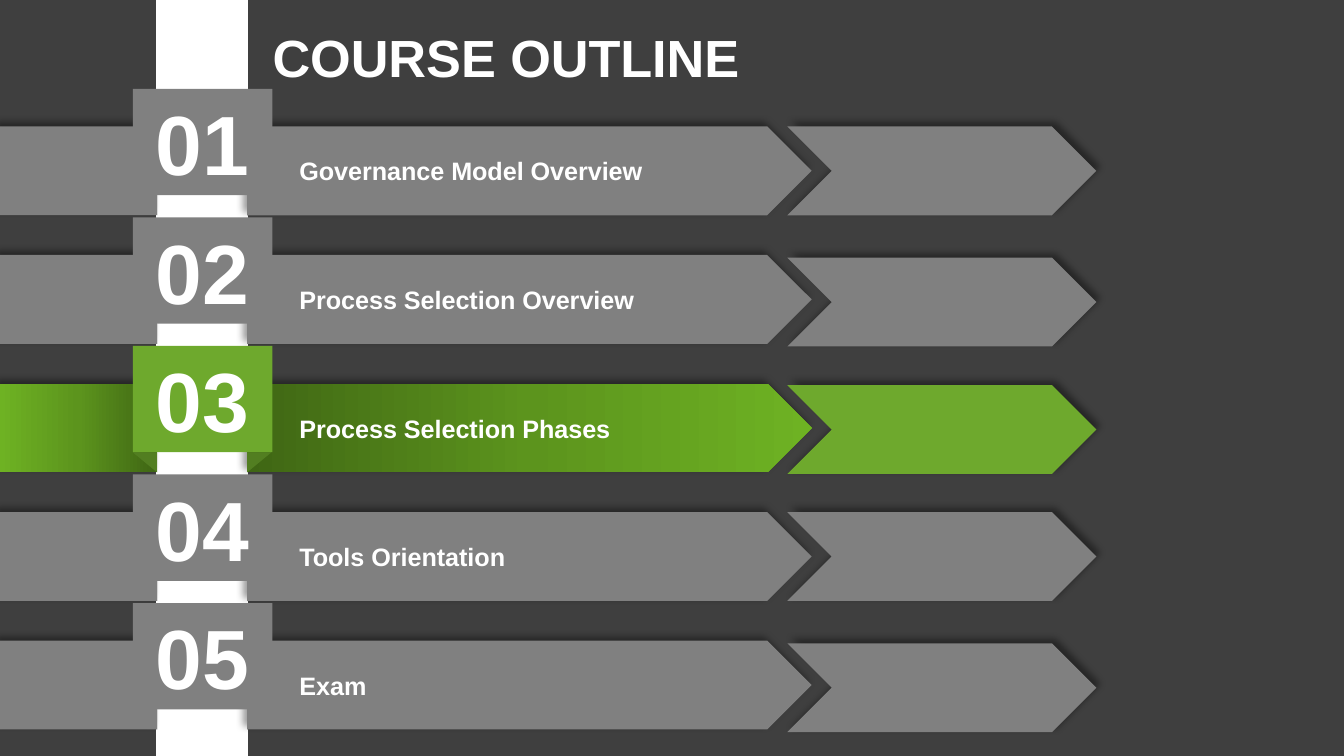
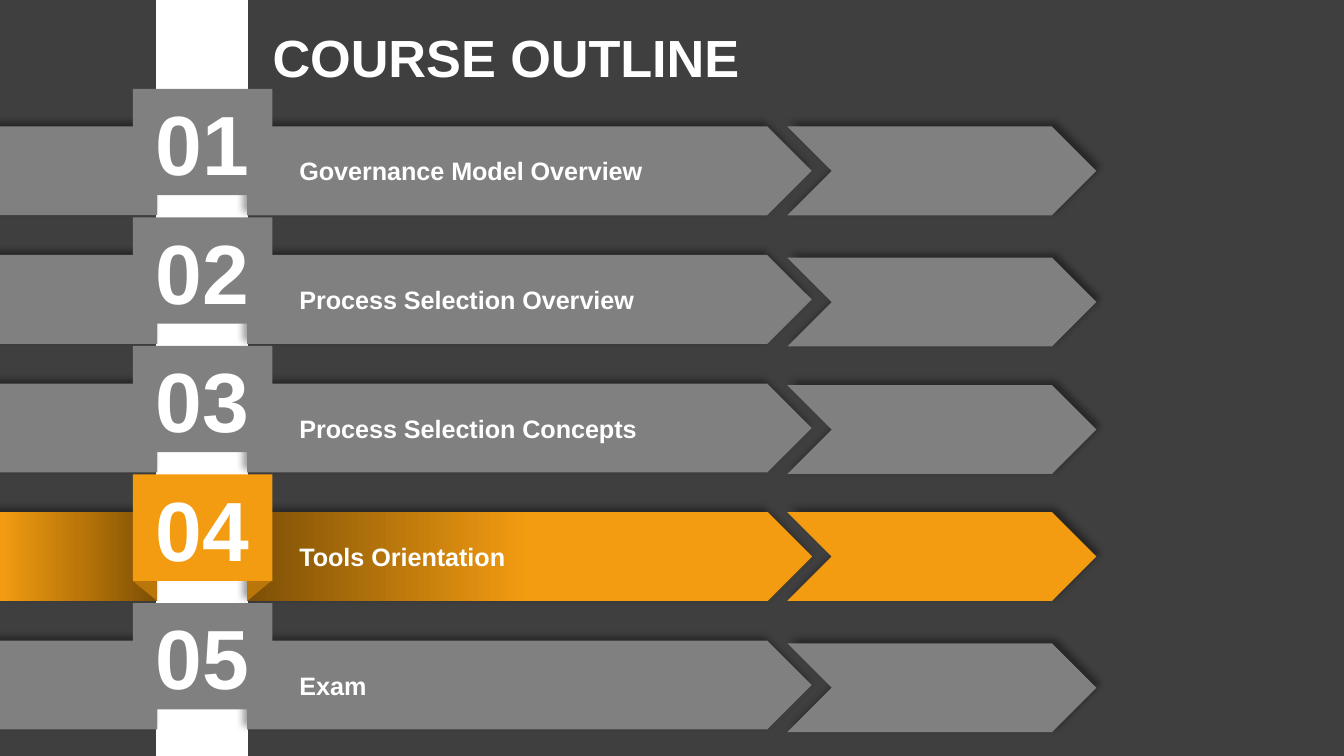
from copy import deepcopy

from lxml.etree import SubElement
from pptx import Presentation
from pptx.dml.color import RGBColor
from pptx.enum.shapes import MSO_SHAPE
from pptx.enum.text import MSO_ANCHOR, MSO_AUTO_SIZE, PP_ALIGN
from pptx.oxml.ns import qn
from pptx.util import Cm, Pt

DARK = "3F3F3F"
WHITE = "FFFFFF"
GRAY = "808080"

ROW_TOP = 2.39
ROW_PITCH = 2.43
BAND_HEIGHT = 1.68
RIBBON_LEFT = 2.97
RIBBON_WIDTH = 1.7
RIBBON_RIGHT = RIBBON_LEFT + RIBBON_WIDTH
FOLD_WIDTH = 0.46
FOLD_HEIGHT = 0.38
BOX_HEIGHT = 2.01
BOX_RISE = 0.71
CHEVRON_SHIFTS = [0, 0.05, 0.03, 0, 0.05]

INACTIVE = {"box": GRAY, "fold": GRAY, "label": GRAY, "tail": GRAY}
GREEN_FADE = ["3F6614", "5C941D", "6EB223"]
GREEN = {"box": "6EA92D", "fold": "527E21", "label": GREEN_FADE, "tail": GREEN_FADE}
ORANGE = {
    "box": "F39C11",
    "fold": "BA7609",
    "label": ["7C4F06", "F39C11", "F39C11"],
    "tail": ["7C4F06", "BA7609", "F39C11"],
}

OUTLINES = [
    (["Governance Model Overview", "Process Selection Overview",
      "Process Selection Phases", "Tools Orientation", "Exam"], 2, GREEN),
    (["Governance Model Overview", "Process Selection Overview",
      "Process Selection Concepts", "Tools Orientation", "Exam"], 3, ORANGE),
]


def rgb(value):
    return RGBColor.from_string(value)


def apply(target, values):
    for name, value in values.items():
        setattr(target, name, value)


class OutlineDeck:
    title_frame = {
        "word_wrap": True, "auto_size": MSO_AUTO_SIZE.NONE,
        "vertical_anchor": MSO_ANCHOR.TOP,
        "margin_left": Cm(0.25), "margin_right": Cm(0.25),
        "margin_top": Cm(0.25), "margin_bottom": Cm(0.25),
    }
    shape_frame = {
        "word_wrap": True, "vertical_anchor": MSO_ANCHOR.MIDDLE,
        "margin_left": Cm(0.18), "margin_right": Cm(0.18),
        "margin_top": Cm(0.1), "margin_bottom": Cm(0.1),
    }

    def __init__(self):
        self.presentation = Presentation()
        apply(self.presentation, {"slide_width": Cm(25.4), "slide_height": Cm(14.29)})
        background = self.presentation.slide_master.background.fill
        background.solid()
        background.fore_color.rgb = rgb(DARK)
        self.slide = None

    def new_slide(self, title):
        layout = self.presentation.slide_layouts[5]
        self.slide = self.presentation.slides.add_slide(layout)
        placeholder = self.slide.shapes.title
        apply(placeholder, {"left": Cm(4.9), "top": Cm(0.23),
                            "width": Cm(23.67), "height": Cm(1.6)})
        self.set_text(placeholder, title, 28, PP_ALIGN.LEFT, self.title_frame)

    def set_text(self, shape, text, size, alignment, frame, indent=0):
        apply(shape.text_frame, frame)
        paragraph = shape.text_frame.paragraphs[0]
        paragraph.alignment = alignment
        if indent:
            properties = paragraph._p.get_or_add_pPr()
            properties.set("marL", str(Cm(indent)))
            properties.set("indent", "0")
        run = paragraph.add_run()
        run.text = text
        apply(run.font, {"name": "Arial", "size": Pt(size), "bold": True})
        run.font.color.rgb = rgb(WHITE)

    def paint(self, shape, fill, angle):
        if isinstance(fill, str):
            shape.fill.solid()
            shape.fill.fore_color.rgb = rgb(fill)
            return
        shape.fill.gradient()
        shape.fill.gradient_angle = angle
        stops = shape._element.spPr.find(qn("a:gradFill")).find(qn("a:gsLst"))
        stops.append(deepcopy(stops[0]))
        for stop, position, color in zip(shape.fill.gradient_stops, (0, 0.5, 1), fill):
            stop.position = position
            stop.color.rgb = rgb(color)

    def cast_shadow(self, shape, direction):
        effects = shape._element.spPr.find(qn("a:effectLst"))
        shadow = SubElement(effects, qn("a:outerShdw"), blurRad=str(Pt(4)),
                            dist=str(Pt(3)), dir=str(direction * 60000),
                            algn="ctr", rotWithShape="0")
        color = SubElement(shadow, qn("a:srgbClr"), val="000000")
        SubElement(color, qn("a:alpha"), val="40000")

    def add_shape(self, kind, left, top, width, height, fill,
                  group=None, angle=0, shadow=None):
        container = group or self.slide
        shape = container.shapes.add_shape(kind, Cm(left), Cm(top), Cm(width), Cm(height))
        self.paint(shape, fill, angle)
        shape.line.fill.background()
        shape.shadow.inherit = False
        if shadow is not None:
            self.cast_shadow(shape, shadow)
        return shape

    def add_ribbon(self):
        ribbon = self.add_shape(MSO_SHAPE.RECTANGLE, RIBBON_LEFT, 0,
                                RIBBON_WIDTH, 14.29, WHITE)
        ribbon.line.color.rgb = rgb(WHITE)
        ribbon.line.width = Pt(1)

    def add_fold(self, group, left, top, color, flipped):
        fold = self.add_shape(MSO_SHAPE.RIGHT_TRIANGLE, left, top,
                              FOLD_WIDTH, FOLD_HEIGHT, color, group)
        fold.rotation = 180
        if flipped:
            fold._element.spPr.find(qn("a:xfrm")).set("flipH", "1")

    def add_row(self, index, text, colors):
        top = ROW_TOP + index * ROW_PITCH
        fold_top = top + BAND_HEIGHT - FOLD_HEIGHT
        box_left = RIBBON_LEFT - FOLD_WIDTH
        group = self.slide.shapes.add_group_shape()
        label = self.add_shape(MSO_SHAPE.PENTAGON, RIBBON_RIGHT, top, 10.67, BAND_HEIGHT,
                               colors["label"], group, shadow=225)
        self.set_text(label, text, 13.5, PP_ALIGN.LEFT, self.shape_frame, indent=0.81)
        self.add_shape(MSO_SHAPE.RECTANGLE, 0, top, RIBBON_LEFT, BAND_HEIGHT,
                       colors["tail"], group, angle=180, shadow=225)
        self.add_fold(group, RIBBON_RIGHT, fold_top, colors["fold"], True)
        self.add_fold(group, box_left, fold_top, colors["fold"], False)
        box = self.add_shape(MSO_SHAPE.RECTANGLE, box_left, top - BOX_RISE,
                             2.64, BOX_HEIGHT, colors["box"], group)
        self.set_text(box, f"{index + 1:02}", 45, PP_ALIGN.CENTER, self.shape_frame)
        self.add_shape(MSO_SHAPE.CHEVRON, 14.88, top + CHEVRON_SHIFTS[index],
                       5.84, BAND_HEIGHT, colors["box"], shadow=315)


def main():
    deck = OutlineDeck()
    for topics, active, accent in OUTLINES:
        deck.new_slide("COURSE OUTLINE")
        deck.add_ribbon()
        for index, topic in enumerate(topics):
            deck.add_row(index, topic, accent if index == active else INACTIVE)
    deck.presentation.save("out.pptx")


if __name__ == "__main__":
    main()
